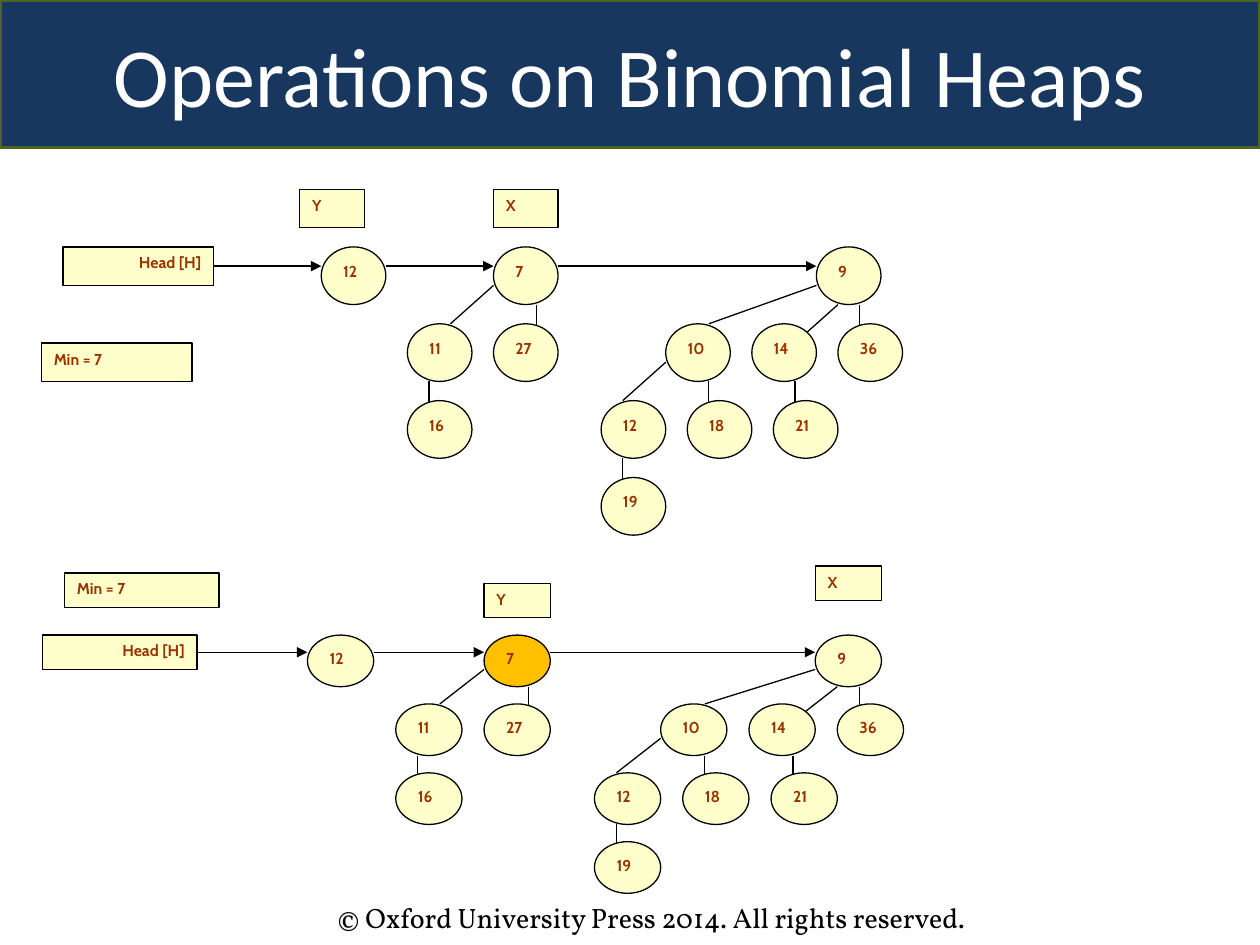
from lxml import etree
from pptx import Presentation
from pptx import util as u
from pptx.dml.color import RGBColor
from pptx.enum import shapes, text
from pptx.oxml import ns

NAVY = RGBColor(0x17, 0x37, 0x5E)
OLIVE = RGBColor(0x4F, 0x62, 0x28)
CREAM = RGBColor(0xFF, 0xFF, 0xCC)
AMBER = RGBColor(0xFF, 0xC0, 0x00)
RUST = RGBColor(0x99, 0x33, 0x00)
BLACK = RGBColor(0, 0, 0)
WHITE = RGBColor(0xFF, 0xFF, 0xFF)

SHAPE = shapes.MSO_SHAPE
LEFT, CENTER, RIGHT = text.PP_ALIGN.LEFT, text.PP_ALIGN.CENTER, text.PP_ALIGN.RIGHT
TOP, MIDDLE = text.MSO_ANCHOR.TOP, text.MSO_ANCHOR.MIDDLE

NODES = [
    ("12", 0, 0), ("7", 8, 0), ("9", 23, 0),
    ("11", 4, 4), ("27", 8, 4), ("10", 16, 4), ("14", 20, 4), ("36", 24, 4),
    ("16", 4, 8), ("12", 13, 8), ("18", 17, 8), ("21", 21, 8),
    ("19", 13, 12),
]
EDGES = [
    (10, 3, 10, 5), (8, 2, 6, 4), (5, 7, 5, 9),
    (25, 3, 25, 5), (24, 3, 22, 5), (23, 2, 18, 4),
    (18, 7, 18, 9), (16, 6, 14, 8), (22, 7, 22, 9), (14, 11, 14, 13),
]
ROOTS = [(3, 1, 8, 1), (11, 1, 23, 1)]


def write(shape, words, size=9, font="Cabin", color=RUST, bold=True,
          align=LEFT, anchor=TOP):
    frame = shape.text_frame
    frame.word_wrap = True
    frame.vertical_anchor = anchor
    para = frame.paragraphs[0]
    para.alignment = align
    run = para.add_run()
    run.text = words
    run.font.size = u.Pt(size)
    run.font.name = font
    run.font.bold = bold
    run.font.color.rgb = color


class Deck:
    def __init__(self, slide):
        self.slide = slide
        self.line = BLACK
        self.weight = 0.75

    def grid(self, left, top, span, drop):
        self.left, self.top = left, top
        self.dx, self.dy = span / 23, drop / 12

    def spot(self, col, row):
        return u.Inches(self.left + col * self.dx), u.Inches(self.top + row * self.dy)

    def shape(self, kind, area, fill, line, weight):
        item = self.slide.shapes.add_shape(kind, *area)
        item.shadow.inherit = False
        item.fill.solid()
        item.fill.fore_color.rgb = fill
        item.line.color.rgb = line
        item.line.width = u.Pt(weight)
        return item

    def cell(self, kind, words, col, row, wide, high, fill=CREAM, align=LEFT):
        size = u.Inches(wide * self.dx), u.Inches(high * self.dy)
        item = self.shape(kind, self.spot(col, row) + size, fill, self.line, self.weight)
        write(item, words, align=align)
        return item

    def node(self, words, col, row, fill=CREAM):
        return self.cell(SHAPE.OVAL, words, col, row, 3, 3, fill)

    def label(self, words, col, row, wide=3, align=LEFT):
        return self.cell(SHAPE.RECTANGLE, words, col, row, wide, 2, align=align)

    def edge(self, ends, arrow=False, start=None):
        item = self.slide.shapes.add_connector(
            shapes.MSO_CONNECTOR.STRAIGHT, *self.spot(*ends[:2]), *self.spot(*ends[2:]))
        item.line.color.rgb = self.line
        item.line.width = u.Pt(self.weight)
        if arrow:
            etree.SubElement(item.line._get_or_add_ln(), ns.qn("a:tailEnd"), type="triangle")
        etree.SubElement(item._element.spPr, ns.qn("a:effectLst"))
        if start is not None:
            item.begin_connect(start, 3)

    def heap(self, labels, mark=None):
        head = self.label("Head [H]", -12, 0, 7, RIGHT)
        self.edge((-5, 1, 0, 1), True, head)
        for ends in ROOTS:
            self.edge(ends, True)
        for ends in EDGES:
            self.edge(ends)
        for words, col, row in NODES:
            self.node(words, col, row, AMBER if words == mark else CREAM)
        for item in labels:
            self.label(*item)

    def title(self, words):
        area = 0, 0, u.Inches(10), u.Inches(1.17)
        item = self.shape(SHAPE.ROUNDED_RECTANGLE, area, NAVY, OLIVE, 2)
        item.adjustments[0] = 0
        write(item, words, 48, "Calibri", WHITE, False, CENTER, MIDDLE)

    def foot(self, words):
        item = self.slide.shapes.add_textbox(
            u.Inches(2.58), u.Inches(7.1), u.Inches(5.92), u.Inches(0.37))
        write(item, words, 16, "Vollkorn", BLACK, False)


def main():
    prs = Presentation()
    prs.slide_width, prs.slide_height = u.Inches(10), u.Inches(7.5)
    deck = Deck(prs.slides.add_slide(prs.slide_layouts[6]))
    deck.foot("© Oxford University Press 2014. All rights reserved.")
    deck.title("Operations on Binomial Heaps")
    deck.grid(2.55, 1.96, 3.93, 1.83)
    deck.heap([("X", 8, -3), ("Y", -1, -3), ("Min = 7", -13, 5, 7)])
    deck.grid(2.44, 5.04, 4.03, 1.64)
    deck.heap([("X", 23, -4), ("Y", 8, -3), ("Min = 7", -11, -3.6, 7)], "7")
    prs.save("out.pptx")


if __name__ == "__main__":
    main()
